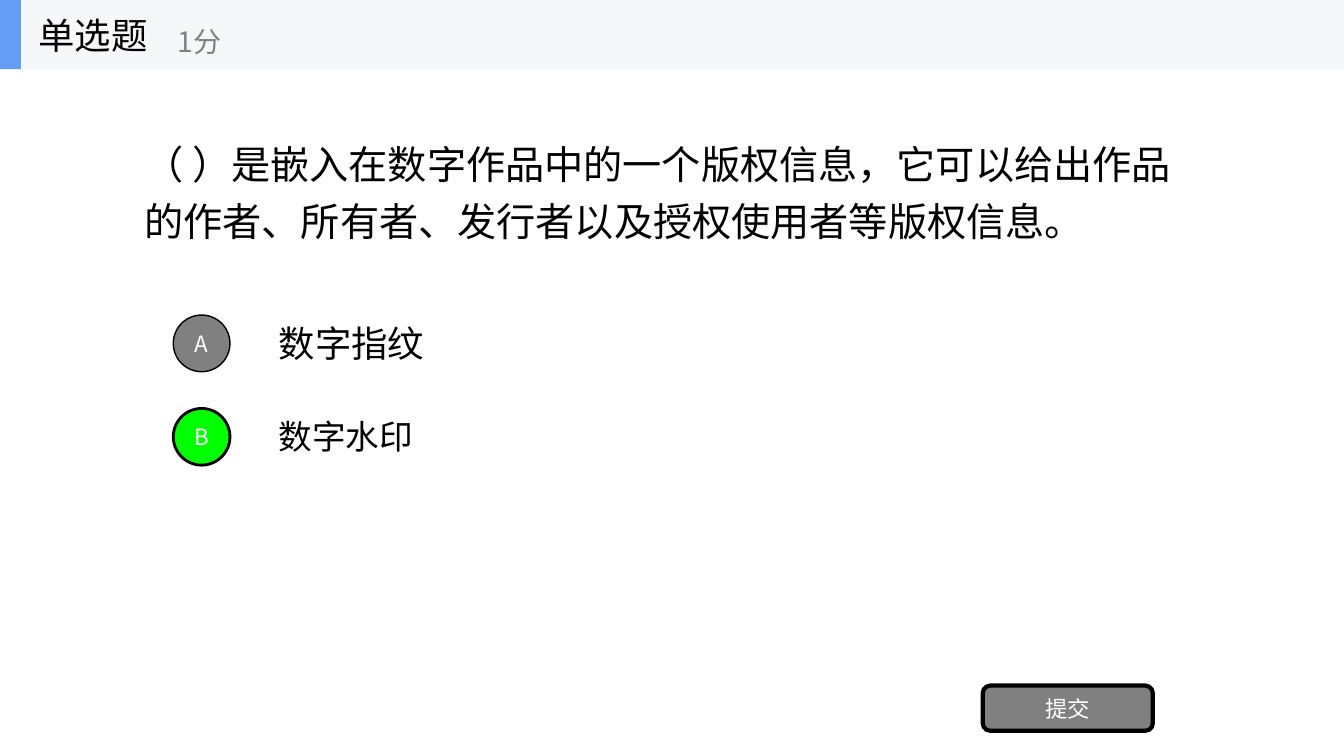
import pptx
import pptx.util
import pptx.dml.color
import pptx.enum.shapes
import pptx.enum.text
import lxml.etree
import pptx.oxml.ns

PX = 9525  # EMU per px, slide is 1280 x 720 px
FONT = "Noto Sans CJK SC"
COLORS = {
    "text": "000000",
    "white": "FFFFFF",
    "gray": "808080",
    "correct": "00FF00",
    "header": "F6F7F8",
    "accent": "639EF4",
}
SHAPE = pptx.enum.shapes.MSO_SHAPE
ALIGN = pptx.enum.text.PP_ALIGN

# label, text, text size, badge colour, badge outline
OPTIONS = [
    ("A", "数字指纹", 26, "gray", 1),
    ("B", "数字水印", 24, "correct", 2),
]
OPTION_TOP, OPTION_PITCH = 293, 89


def rgb(name):
    return pptx.dml.color.RGBColor.from_string(COLORS[name])


def px(*lengths):
    return [pptx.util.Emu(n * PX) for n in lengths]


def set_text(sp, text, size, color, align=ALIGN.LEFT, spacing=None):
    tf = sp.text_frame
    tf.word_wrap = True
    tf.vertical_anchor = pptx.enum.text.MSO_ANCHOR.MIDDLE
    p = tf.paragraphs[0]
    p.text = text
    p.alignment = align
    p.line_spacing = spacing
    font = p.runs[0].font
    font.size = pptx.util.Pt(size)
    font.name = FONT
    font.color.rgb = rgb(color)
    # East Asian typeface
    rpr = p.runs[0]._r.get_or_add_rPr()
    ea = lxml.etree.SubElement(rpr, pptx.oxml.ns.qn("a:ea"))
    ea.set("typeface", FONT)


def add_text(shapes, box, text, size, color="text", spacing=None):
    sp = shapes.add_textbox(*px(*box))
    set_text(sp, text, size, color, spacing=spacing)


def add_block(shapes, kind, box, fill, line=0):
    sp = shapes.add_shape(kind, *px(*box))
    sp.shadow.inherit = False
    sp.fill.solid()
    sp.fill.fore_color.rgb = rgb(fill)
    if line:
        sp.line.color.rgb = rgb("text")
        sp.line.width = pptx.util.Pt(line)
    else:
        sp.line.fill.background()
    return sp


def add_button(shapes, kind, box, fill, line, label):
    sp = add_block(shapes, kind, box, fill, line)
    tf = sp.text_frame
    tf.margin_left = tf.margin_right = tf.margin_top = tf.margin_bottom = 0
    set_text(sp, label, 16, "white", ALIGN.CENTER)


def add_header(shapes):
    group = shapes.add_group_shape().shapes
    add_block(group, SHAPE.RECTANGLE, (0, 0, 1280, 66), "header")
    add_block(group, SHAPE.RECTANGLE, (0, 0, 20, 66), "accent")
    add_text(group, (27, 0, 200, 66), "单选题", 26)
    add_text(group, (160, 12, 240, 54), "1分", 20, "gray")


def main():
    prs = pptx.Presentation()
    prs.slide_width, prs.slide_height = px(1280, 720)
    s = prs.slides.add_slide(prs.slide_layouts[6])

    # Question
    question = "（ ）是嵌入在数字作品中的一个版权信息，它可以给出作品的作者、所有者、发行者以及授权使用者等版权信息。"
    add_text(s.shapes, (128, 66, 1024, 225), question, 28, spacing=1.2)

    # Answer options
    for i, (label, text, size, fill, line) in enumerate(OPTIONS):
        top = OPTION_TOP + i * OPTION_PITCH
        add_text(s.shapes, (256, top, 896, 67), text, size)
        add_button(s.shapes, SHAPE.OVAL, (165, top + 7, 54, 54), fill, line, label)

    # Submit button
    add_button(s.shapes, SHAPE.ROUNDED_RECTANGLE, (936, 653, 162, 43), "gray", 3, "提交")

    # Header bar
    add_header(s.shapes)

    prs.save("out.pptx")


if __name__ == "__main__":
    main()
